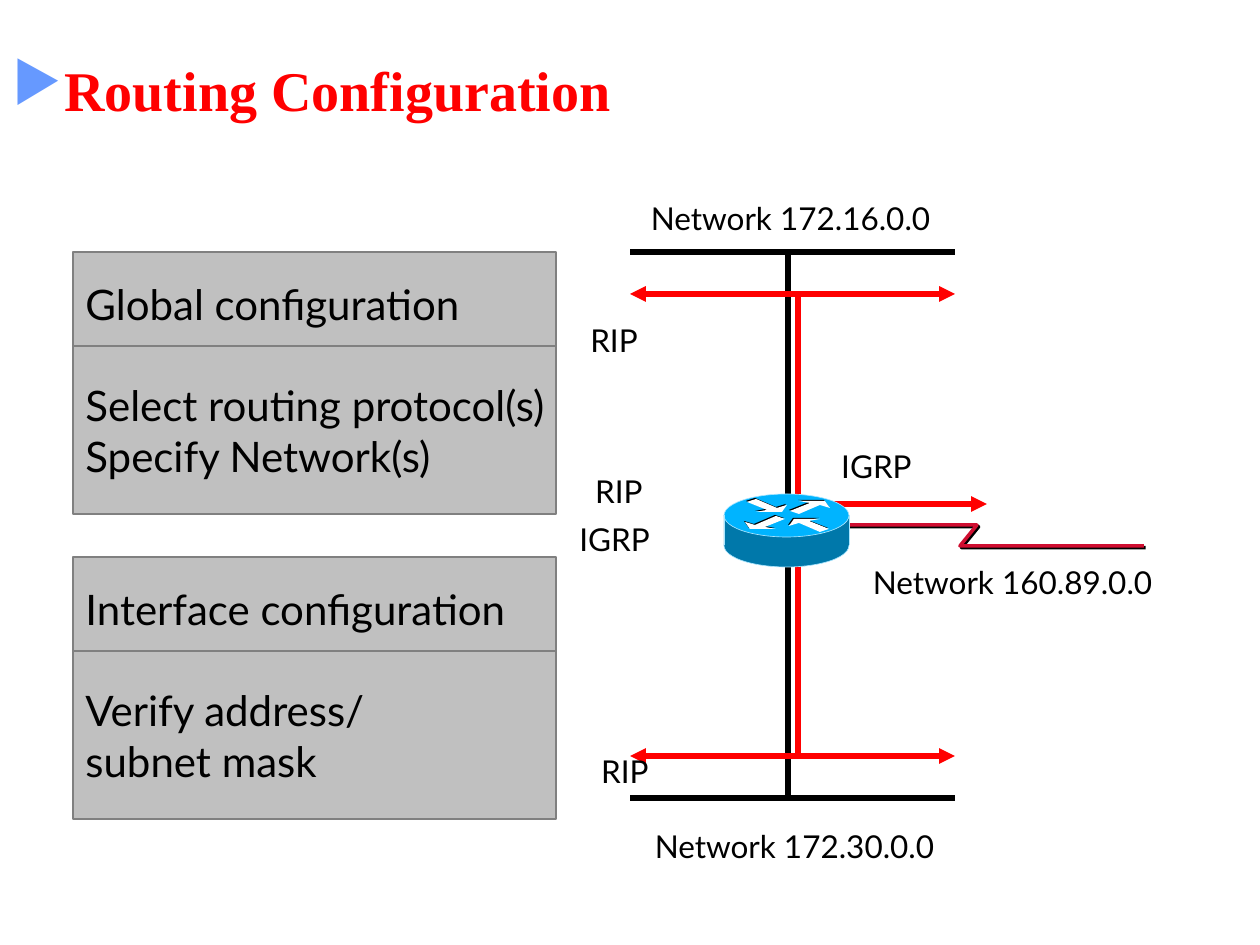
from dataclasses import dataclass
from typing import Optional

from lxml import etree
from pptx import Presentation
from pptx.dml.color import RGBColor
from pptx.enum.shapes import MSO_CONNECTOR, MSO_SHAPE
from pptx.enum.text import MSO_ANCHOR, PP_ALIGN
from pptx.oxml import parse_xml
from pptx.oxml.ns import nsdecls, qn
from pptx.util import Emu, Pt

RECTANGLE, OVAL = MSO_SHAPE.RECTANGLE, MSO_SHAPE.OVAL
STRAIGHT = MSO_CONNECTOR.STRAIGHT
TOP, MIDDLE = MSO_ANCHOR.TOP, MSO_ANCHOR.MIDDLE
LEFT, CENTER = PP_ALIGN.LEFT, PP_ALIGN.CENTER

BLACK = RGBColor(0x00, 0x00, 0x00)
WHITE = RGBColor(0xFF, 0xFF, 0xFF)
RED = RGBColor(0xFF, 0x00, 0x00)
CRIMSON = RGBColor(0xCF, 0x0E, 0x30)
SILVER = RGBColor(0xC0, 0xC0, 0xC0)
GRAY = RGBColor(0x80, 0x80, 0x80)
ROUTER_SIDE = RGBColor(0x00, 0x78, 0xAA)
ROUTER_TOP = RGBColor(0x00, 0xB4, 0xFF)
ROUTER_EDGE = RGBColor(0xAA, 0xE6, 0xFF)
BULLET_COLOR = "6699FF"

BODY_FONT, TITLE_FONT = "Lato", "Times New Roman"
PX_PER_INCH = 126
EDGE_WIDTH = 0.37
ARROW_OUTLINE = [(0, 0), (9, 3), (30, -6), (40, -3), (35, -10), (9, -10), (20, -8)]


@dataclass
class Line:
    x1: int
    y1: int
    x2: int
    y2: int
    color: RGBColor
    width: float = 3
    head: bool = False
    tail: bool = False


@dataclass
class Label:
    text: str
    left: int
    top: int
    width: int


@dataclass
class Panel:
    top: int
    heading: str
    body: str


@dataclass
class RouterArrow:
    x: int
    y: int
    flip_x: int
    flip_y: int


LINES = [
    Line(788, 252, 788, 798, BLACK),
    Line(630, 252, 955, 252, BLACK),
    Line(630, 798, 955, 798, BLACK),
    Line(829, 504, 987, 504, RED, tail=True),
    Line(630, 294, 955, 294, RED, head=True, tail=True),
    Line(630, 756, 955, 756, RED, head=True, tail=True),
    Line(798, 294, 798, 756, RED),
]
LABELS = [
    Label("Network 172.16.0.0", 635, 193, 311),
    Label("Network 172.30.0.0", 639, 821, 311),
    Label("Network 160.89.0.0", 857, 557, 311),
    Label("RIP", 577, 315, 74),
    Label("RIP", 582, 466, 74),
    Label("RIP", 588, 746, 74),
    Label("IGRP", 566, 514, 97),
    Label("IGRP", 828, 441, 97),
]
PANELS = [
    Panel(252, "Global configuration", "Select routing protocol(s)\nSpecify Network(s)"),
    Panel(557, "Interface configuration", "Verify address/\nsubnet mask"),
]
ROUTER_ARROWS = [
    RouterArrow(789, 510, 1, 1),
    RouterArrow(784, 518, -1, -1),
    RouterArrow(746, 501, 1, -1),
    RouterArrow(828, 528, -1, 1),
]


def px(length: int) -> Emu:
    return Emu(round(length * 914400 / PX_PER_INCH))


def write(shape, text: str, font: str, size: int, color: RGBColor,
          align=LEFT, anchor=TOP, wrap: bool = False, bold: bool = False) -> None:
    frame = shape.text_frame
    frame.text = text
    frame.word_wrap = wrap
    frame.vertical_anchor = anchor
    for para in frame.paragraphs:
        para.alignment = align
        for span in para.runs:
            span.font.name = font
            span.font.size = Pt(size)
            span.font.bold = bold
            span.font.color.rgb = color


def draw_title(page, text: str) -> None:
    box = page.shapes.add_textbox(px(0), px(42), px(1260), px(94))
    write(box, text, TITLE_FONT, 32, RED, anchor=MIDDLE, wrap=True, bold=True)
    properties = box.text_frame.paragraphs[0]._p.get_or_add_pPr()
    properties.set("marL", "0")
    properties.set("indent", "0")
    color = etree.SubElement(properties, qn("a:buClr"))
    etree.SubElement(color, qn("a:srgbClr")).set("val", BULLET_COLOR)
    etree.SubElement(properties, qn("a:buChar")).set("char", "▶")


def draw_line(page, line: Line) -> None:
    connector = page.shapes.add_connector(
        STRAIGHT, px(line.x1), px(line.y1), px(line.x2), px(line.y2))
    connector.line.color.rgb = line.color
    connector.line.width = Pt(line.width)
    outline = connector.line._get_or_add_ln()
    for tag, shown in (("a:headEnd", line.head), ("a:tailEnd", line.tail)):
        if shown:
            etree.SubElement(outline, qn(tag)).set("type", "triangle")
    etree.SubElement(connector._element.spPr, qn("a:effectLst"))


def draw_shape(page, kind, left: int, top: int, width: int, height: int,
               fill: RGBColor, edge: Optional[RGBColor] = None, edge_width: float = 0.75):
    shape = page.shapes.add_shape(kind, px(left), px(top), px(width), px(height))
    shape.shadow.inherit = False
    shape.fill.solid()
    shape.fill.fore_color.rgb = fill
    if edge is None:
        shape.line.fill.background()
    else:
        shape.line.color.rgb = edge
        shape.line.width = Pt(edge_width)
    return shape


def draw_outline(page, points: list[tuple[int, int]], close: bool):
    start, *rest = [(px(x), px(y)) for x, y in points]
    builder = page.shapes.build_freeform(*start)
    builder.add_line_segments(rest, close=close)
    return builder.convert_to_shape()


def draw_serial_link(page) -> None:
    link = draw_outline(page, [(809, 525), (977, 525), (960, 546), (1144, 546)], False)
    link.fill.background()
    link.line.color.rgb = CRIMSON
    link.line.width = Pt(2)
    link._element.spPr.append(parse_xml(
        f'<a:effectLst {nsdecls("a")}><a:outerShdw dist="17780" dir="2700000">'
        '<a:srgbClr val="000000"/></a:outerShdw></a:effectLst>'))


def draw_router_arrow(page, arrow: RouterArrow, offset: int, color: RGBColor) -> None:
    points = [(arrow.x + offset + arrow.flip_x * x, arrow.y + offset + arrow.flip_y * y)
              for x, y in ARROW_OUTLINE]
    shape = draw_outline(page, points, True)
    shape.shadow.inherit = False
    shape.fill.solid()
    shape.fill.fore_color.rgb = color
    shape.line.fill.background()


def draw_router(page) -> None:
    left, width = 724, 125
    draw_shape(page, OVAL, left, 524, width, 43, ROUTER_SIDE, ROUTER_EDGE, EDGE_WIDTH)
    draw_shape(page, RECTANGLE, left, 515, width, 30, ROUTER_SIDE)
    draw_shape(page, OVAL, left, 494, width, 43, ROUTER_TOP, ROUTER_EDGE, EDGE_WIDTH)
    for offset, color in ((0, BLACK), (1, WHITE)):
        for arrow in ROUTER_ARROWS:
            draw_router_arrow(page, arrow, offset, color)
    for x in (left, left + width):
        draw_line(page, Line(x, 515, x, 545, ROUTER_EDGE, EDGE_WIDTH))


def draw_label(page, label: Label) -> None:
    box = page.shapes.add_textbox(px(label.left), px(label.top), px(label.width), px(50))
    write(box, label.text, BODY_FONT, 18, BLACK, align=CENTER)


def draw_panel(page, panel: Panel) -> None:
    for text, top, height in ((panel.heading, panel.top, 103),
                              (panel.body, panel.top + 94, 168)):
        box = draw_shape(page, RECTANGLE, 73, top, 483, height, SILVER, GRAY)
        write(box, text, BODY_FONT, 24, BLACK, anchor=MIDDLE)


def main() -> None:
    """Build the routing configuration slide."""
    deck = Presentation()
    deck.slide_width, deck.slide_height = px(1260), px(945)
    page = deck.slides.add_slide(deck.slide_layouts[6])
    draw_title(page, "Routing Configuration")
    draw_serial_link(page)
    for line in LINES:
        draw_line(page, line)
    draw_router(page)
    for label in LABELS:
        draw_label(page, label)
    for panel in PANELS:
        draw_panel(page, panel)
    deck.save("out.pptx")


if __name__ == "__main__":
    main()
